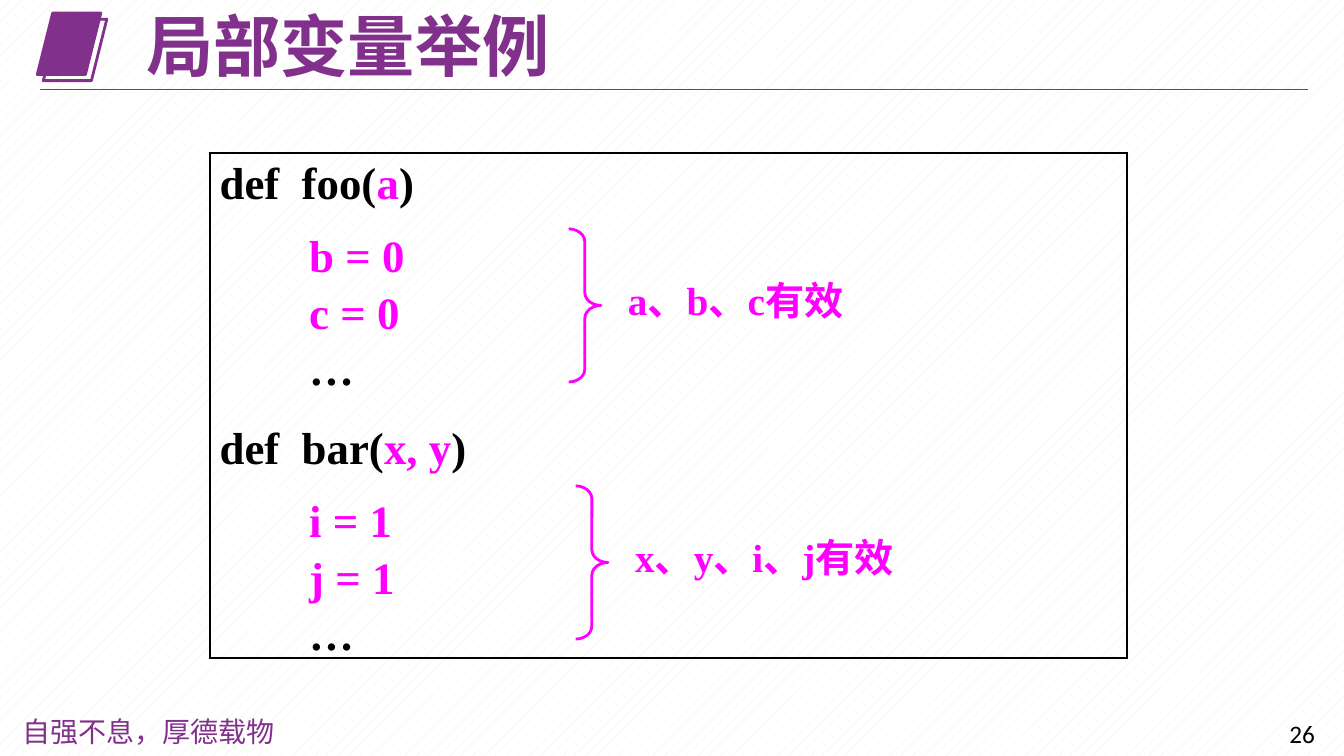
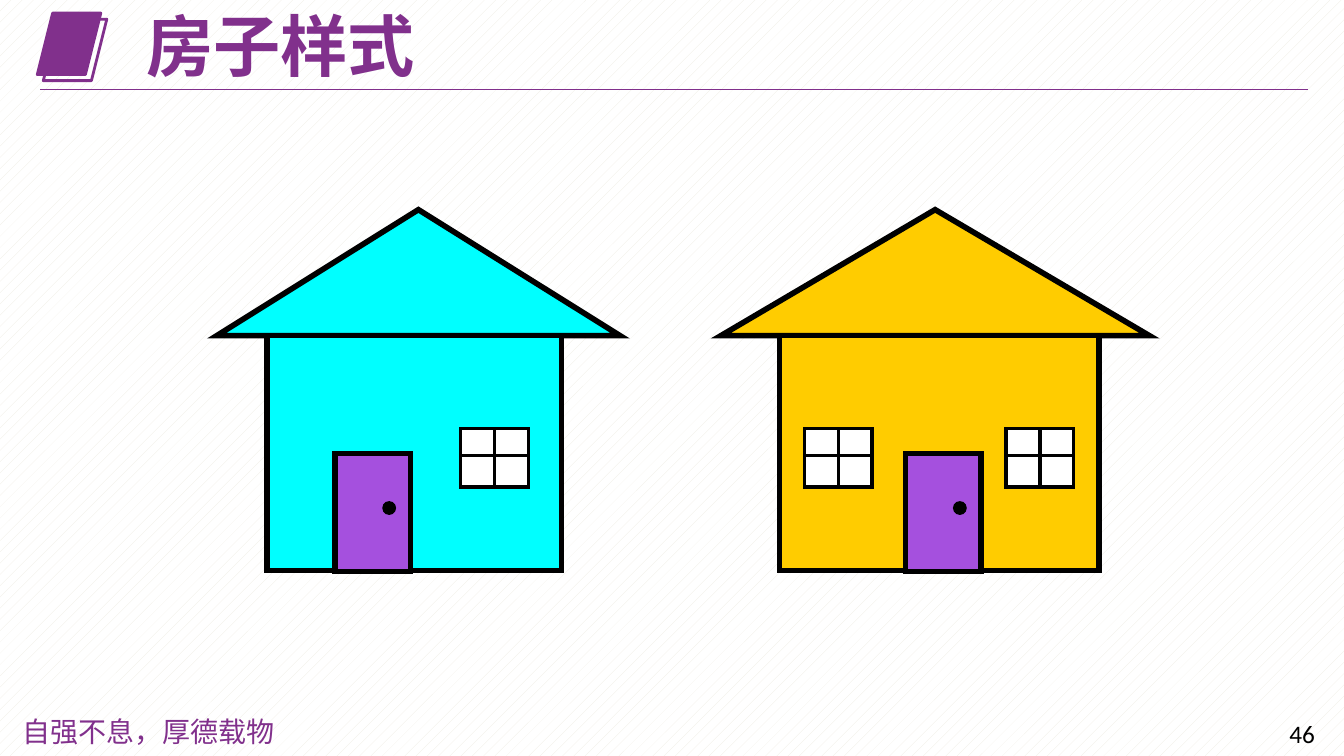
from lxml import etree
from pptx import Presentation
from pptx.dml.color import RGBColor
from pptx.enum import dml, shapes, text
from pptx.oxml import ns
from pptx.util import Inches, Pt

PURPLE = RGBColor(0x81, 0x30, 0x8C)
MAGENTA = RGBColor(0xFF, 0x00, 0xFF)
BLACK = RGBColor(0x00, 0x00, 0x00)
WHITE = RGBColor(0xFF, 0xFF, 0xFF)
CREAM = RGBColor(0xEE, 0xEC, 0xE1)
CYAN = RGBColor(0x00, 0xFF, 0xFF)
YELLOW = RGBColor(0xFF, 0xCC, 0x00)
VIOLET = RGBColor(0xA5, 0x50, 0xDE)

SHAPE = shapes.MSO_SHAPE
CJK = "Noto Sans CJK SC"
SERIF = "Times New Roman"
TITLE = {"name": CJK, "size": Pt(48), "bold": True}
MOTTO = {"name": "Noto Sans CJK JP", "size": Pt(20), "bold": False}
NUMBER = {"name": "Calibri", "size": Pt(18), "bold": False}
CODE = {"name": SERIF, "size": Pt(32), "bold": True}
LABEL = {"name": SERIF, "size": Pt(28), "bold": True}

CODE_LINES = [
    (0, [("def  foo(", BLACK), ("a", MAGENTA), (")", BLACK)]),
    (12, [("        b = 0", MAGENTA)]),
    (0, [("        c = 0", MAGENTA)]),
    (0, [("        …", BLACK)]),
    (16, [("def  bar(", BLACK), ("x, y", MAGENTA), (")", BLACK)]),
    (12, [("        i = 1", MAGENTA)]),
    (0, [("        j = 1", MAGENTA)]),
    (0, [("        …", BLACK)]),
]


def add_run(paragraph, words, style, color):
    """Add a run with one style for Latin and East Asian letters."""
    run = paragraph.add_run()
    run.text = words
    for name, value in style.items():
        setattr(run.font, name, value)
    run.font.color.rgb = color
    east_asian = CJK if style["name"] == SERIF else style["name"]
    latin = run.font._element.find(ns.qn("a:latin"))
    latin.addnext(etree.Element(ns.qn("a:ea"), typeface=east_asian))


def format_frame(frame, anchor, wrap=True):
    """Set the wrapping and anchoring of a text frame."""
    values = {"word_wrap": wrap, "vertical_anchor": anchor,
              "auto_size": text.MSO_AUTO_SIZE.NONE}
    for name, value in values.items():
        setattr(frame, name, value)


def add_text(slide, box, words, style, color):
    """Add a one-paragraph text box."""
    shape = slide.shapes.add_textbox(*map(Inches, box))
    format_frame(shape.text_frame, text.MSO_ANCHOR.TOP)
    add_run(shape.text_frame.paragraphs[0], words, style, color)


def add_figure(slide, kind, box, fill, color, width, sharp=False):
    """Add a preset shape with an outline and an optional fill."""
    shape = slide.shapes.add_shape(kind, *map(Inches, box))
    shape.shadow.inherit = False
    if fill is None:
        shape.fill.background()
    else:
        shape.fill.solid()
        shape.fill.fore_color.rgb = fill
    shape.line.color.rgb = color
    shape.line.width = Pt(width)
    if sharp:
        outline = shape.line._get_or_add_ln()
        etree.SubElement(outline, ns.qn("a:miter"), lim="800000")
    return shape


def add_line(slide, start, end, color, width):
    """Add a straight line without shadow."""
    line = slide.shapes.add_connector(
        shapes.MSO_CONNECTOR.STRAIGHT, *map(Inches, (*start, *end)))
    line.line.color.rgb = color
    line.line.width = Pt(width)
    etree.SubElement(line._element.spPr, ns.qn("a:effectLst"))


def add_base_slide(presentation, title, number):
    """Add a slide with the shared title band and footer."""
    slide = presentation.slides.add_slide(presentation.slide_layouts[5])
    add_text(slide, (0.12, 7.04, 2.78, 0.44), "自强不息，厚德载物", MOTTO, PURPLE)
    add_text(slide, (12.69, 7.08, 0.61, 0.4), str(number), NUMBER, BLACK)
    for offset, fill in ((0, PURPLE), (0.06, None)):
        box = (0.37 + offset, 0.13 + offset, 0.63, 0.61)
        add_figure(slide, SHAPE.PARALLELOGRAM, box, fill, PURPLE, 2)
    add_line(slide, (0.4, 0.89), (12.97, 0.89), PURPLE, 0.75)
    shape = slide.shapes.title
    box = zip(("left", "top", "width", "height"), (1.35, 0.11, 7.9, 0.76))
    for name, value in box:
        setattr(shape, name, Inches(value))
    format_frame(shape.text_frame, text.MSO_ANCHOR.MIDDLE)
    paragraph = shape.text_frame.paragraphs[0]
    paragraph.alignment = text.PP_ALIGN.LEFT
    paragraph.line_spacing = 0.9
    add_run(paragraph, title, TITLE, PURPLE)
    return slide


def add_code(slide, box):
    """Add the framed listing of the two functions."""
    shape = add_figure(slide, SHAPE.RECTANGLE, box, None, BLACK, 1.5, True)
    frame = shape.text_frame
    format_frame(frame, text.MSO_ANCHOR.MIDDLE)
    for index, (space, runs) in enumerate(CODE_LINES):
        paragraph = frame.add_paragraph() if index else frame.paragraphs[0]
        paragraph.alignment = text.PP_ALIGN.LEFT
        paragraph.line_spacing = 1.05
        if space:
            paragraph.space_before = Pt(space)
        for words, color in runs:
            add_run(paragraph, words, CODE, color)


def add_scope(slide, left, top, label, width):
    """Add a brace and the names that are valid beside it."""
    brace = add_figure(slide, SHAPE.RIGHT_BRACE, (left, top, 0.32, 1.52),
                       None, MAGENTA, 2)
    brace.adjustments[0] = 0.4
    add_text(slide, (left + 0.49, top + 0.42, width, 0.57), label, LABEL, MAGENTA)


def add_window(slide, left, top):
    """Add a window with four panes."""
    width, height, bar = 0.67, 0.58, 0.27
    add_figure(slide, SHAPE.RECTANGLE, (left, top, width, height),
               WHITE, BLACK, 2.5, True)
    add_line(slide, (left, top + bar), (left + width, top + bar), BLACK, 2.25)
    middle = left + width / 2
    add_line(slide, (middle, top), (middle, top + height), BLACK, 2.5)


def add_house(slide, left, top, width, eave, wall, color, door, windows):
    """Add a house whose parts are offset from the roof corner."""
    door_left, door_top = left + door, top + 2.42
    parts = (
        (SHAPE.ISOSCELES_TRIANGLE, (left, top, width, 1.25), color),
        (SHAPE.RECTANGLE, (left + eave, top + 1.25, wall, 2.33), color),
        (SHAPE.RECTANGLE, (door_left, door_top, 0.75, 1.17), VIOLET),
        (SHAPE.OVAL, (door_left + 0.5, door_top + 0.5, 0.08, 0.08), BLACK),
    )
    for kind, box, fill in parts:
        add_figure(slide, kind, box, fill, BLACK, 4, True)
    for offset in windows:
        add_window(slide, left + offset, top + 2.17)


def build_scope_slide(presentation):
    """Build the slide on local variables."""
    slide = add_base_slide(presentation, "局部变量举例", 26)
    add_code(slide, (2.08, 1.52, 9.1, 5.01))
    add_scope(slide, 5.64, 2.27, "a、b、c有效", 2.35)
    add_scope(slide, 5.71, 4.82, "x、y、i、j有效", 2.78)


def build_house_slide(presentation):
    """Build the slide with the two houses."""
    slide = add_base_slide(presentation, "房子样式", 46)
    add_house(slide, 2.15, 2.08, 4, 0.5, 2.92, CYAN, 1.17, (2.42,))
    add_house(slide, 7.15, 2.08, 4.25, 0.58, 3.17, YELLOW, 1.83, (0.83, 2.83))


def main():
    """Build and save the presentation."""
    presentation = Presentation()
    presentation.slide_width = Inches(13.33)
    presentation.slide_height = Inches(7.5)
    fill = presentation.slide_master.background.fill
    fill.patterned()
    fill.pattern = dml.MSO_PATTERN.PERCENT_10
    fill.fore_color.rgb = CREAM
    fill.back_color.rgb = WHITE
    build_scope_slide(presentation)
    build_house_slide(presentation)
    presentation.save("out.pptx")


if __name__ == "__main__":
    main()
